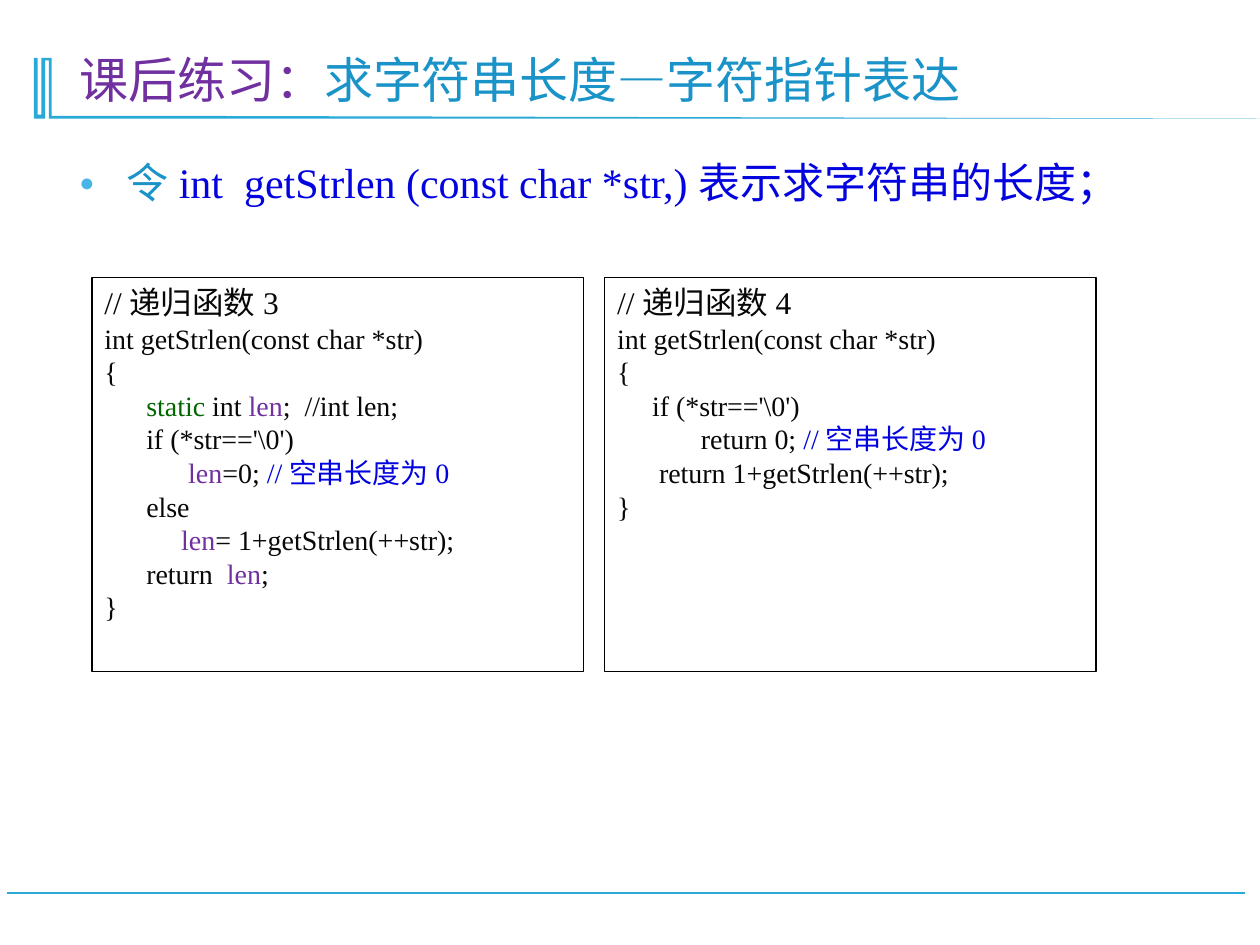
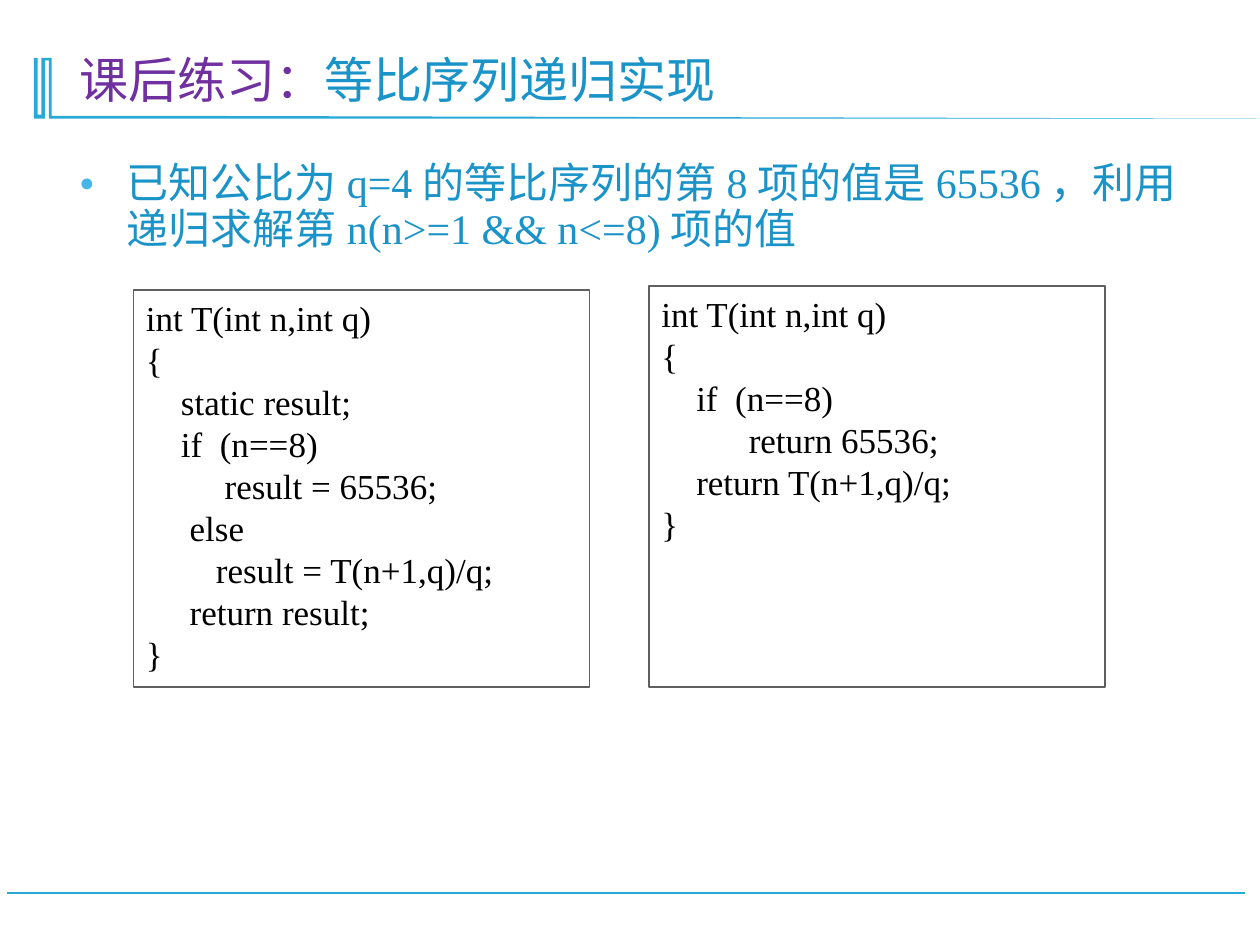
import collections

import lxml.etree
import pptx
import pptx.dml.color
import pptx.enum.shapes
import pptx.enum.text
import pptx.oxml.ns
import pptx.util

Pt = pptx.util.Pt
Box = collections.namedtuple("Box", "left top width height")

FONT = "Times New Roman"
COLORS = {
    "accent": "28A9D6",
    "heading": "1A93C8",
    "purple": "7030A0",
    "blue": "0303DF",
    "green": "006600",
    "bullet": "47B6E7",
    "code": "080808",
    "black": "000000",
    "gray": "5F5F5F",
    "white": "FFFFFF",
}
FRAME = Box(19.4, 33.1, 700.6, 34.6)
FOOTER = Box(4.3, 510.5, 707, 0)
TITLE = Box(38.2, 20.2, 637.2, 46)

RECURSION_3 = [
    "int getStrlen(const char *str)",
    "{",
    [("      ", "code"), ("static", "green"), (" int ", "code"), ("len", "purple"),
     (";  //int len;", "code")],
    "      if (*str=='\\0')",
    [("            ", "code"), ("len", "purple"), ("=0; ", "code"), ("//空串长度为0", "blue")],
    "      else",
    [("           ", "code"), ("len", "purple"), ("= 1+getStrlen(++str);", "code")],
    [("      return  ", "code"), ("len", "purple"), (";", "code")],
    "}",
]
RECURSION_4 = [
    "int getStrlen(const char *str)",
    "{",
    "     if (*str=='\\0')",
    [("            return 0; ", "code"), ("//空串长度为0", "blue")],
    "      return 1+getStrlen(++str);",
    "}",
]
STATIC_SEQUENCE = [
    "int T(int n,int q)",
    "{",
    "    static result;",
    "    if  (n==8)",
    "         result = 65536;",
    "     else",
    "        result = T(n+1,q)/q;",
    "     return result;",
    "}",
]
DIRECT_SEQUENCE = [
    "int T(int n,int q)",
    "{",
    "    if  (n==8)",
    "          return 65536;",
    "    return T(n+1,q)/q;",
    "}",
]


def rgb(name):
    """Return the named colour."""
    return pptx.dml.color.RGBColor.from_string(COLORS[name])


def points(box):
    """Return the four lengths of a box in points."""
    return [Pt(length) for length in box]


def write_text(paragraph, text, size=16, color="code"):
    """Write a string, or a list of (text, colour) pairs, into a paragraph."""
    pieces = [(text, color)] if isinstance(text, str) else text
    for piece, piece_color in pieces:
        run = paragraph.add_run()
        run.text = piece
        run.font.name = FONT
        run.font.size = Pt(size)
        run.font.color.rgb = rgb(piece_color)


def place_placeholder(shape, box, anchor):
    """Move a placeholder and return its formatted first paragraph."""
    shape.left, shape.top, shape.width, shape.height = points(box)
    frame = shape.text_frame
    frame.auto_size = pptx.enum.text.MSO_AUTO_SIZE.NONE
    frame.vertical_anchor = anchor
    paragraph = frame.paragraphs[0]
    paragraph.alignment = pptx.enum.text.PP_ALIGN.LEFT
    paragraph.line_spacing = 0.9
    paragraph.space_before = Pt(0)
    return paragraph


def add_title_frame(slide, box):
    """Draw the double bar and the tapering rule around the title."""
    bottom = box.height
    outline = [
        (10.1, 0), (10.1, 33.1), (81.4, 33.1), (box.width, bottom), (8.6, bottom),
        (8.6, 1.4), (6.5, 1.4), (6.5, bottom), (0, bottom), (0, 0),
        (2.2, 0), (2.2, 32.4), (4.3, 32.4), (4.3, 0),
    ]
    corners = [(Pt(box.left + x), Pt(box.top + y)) for x, y in outline]
    builder = slide.shapes.build_freeform(*corners[0])
    builder.add_line_segments(corners[1:], close=True)
    shape = builder.convert_to_shape()
    shape.shadow.inherit = False
    shape.fill.solid()
    shape.fill.fore_color.rgb = rgb("accent")
    shape.line.fill.background()


def add_footer_line(slide, box):
    """Draw the rule at the foot of the slide."""
    line = slide.shapes.add_connector(
        pptx.enum.shapes.MSO_CONNECTOR.STRAIGHT,
        Pt(box.left), Pt(box.top), Pt(box.left + box.width), Pt(box.top))
    line.line.color.rgb = rgb("accent")
    line.line.width = Pt(1.25)
    properties = line._element.spPr
    lxml.etree.SubElement(properties, pptx.oxml.ns.qn("a:effectLst"))


def add_bullet(paragraph, indent):
    """Give a paragraph a small round bullet with a hanging indent."""
    properties = paragraph._p.get_or_add_pPr()
    properties.set("marL", str(Pt(indent)))
    properties.set("indent", str(-Pt(indent)))
    qn = pptx.oxml.ns.qn
    color = lxml.etree.SubElement(properties, qn("a:buClr"))
    lxml.etree.SubElement(color, qn("a:srgbClr"), val=COLORS["bullet"])
    lxml.etree.SubElement(properties, qn("a:buSzPct"), val="60000")
    lxml.etree.SubElement(properties, qn("a:buChar"), char="●")


def add_code_box(slide, box, lines, size, color, line_color, line_width, fill=None, heading=None):
    """Draw a framed listing, with an optional larger heading line."""
    shape = slide.shapes.add_shape(pptx.enum.shapes.MSO_SHAPE.RECTANGLE, *points(box))
    shape.shadow.inherit = False
    if fill:
        shape.fill.solid()
        shape.fill.fore_color.rgb = rgb(fill)
    else:
        shape.fill.background()
    shape.line.color.rgb = rgb(line_color)
    shape.line.width = Pt(line_width)
    frame = shape.text_frame
    frame.word_wrap = True
    frame.vertical_anchor = pptx.enum.text.MSO_ANCHOR.TOP
    rows = [(line, size) for line in lines]
    if heading:
        rows.insert(0, (heading, 18))
    for index, (text, row_size) in enumerate(rows):
        paragraph = frame.add_paragraph() if index else frame.paragraphs[0]
        paragraph.alignment = pptx.enum.text.PP_ALIGN.LEFT
        write_text(paragraph, text, size=row_size, color=color)


def add_exercise_slide(presentation, topic, task, task_box):
    """Add a slide with the shared decoration, a title and one task."""
    slide = presentation.slides.add_slide(presentation.slide_layouts[1])
    add_footer_line(slide, FOOTER)
    add_title_frame(slide, FRAME)
    anchors = pptx.enum.text.MSO_ANCHOR
    title = place_placeholder(slide.shapes.title, TITLE, anchors.BOTTOM)
    write_text(title, [("课后练习：", "purple"), (topic, "heading")], size=28)
    body = place_placeholder(slide.placeholders[1], task_box, anchors.TOP)
    add_bullet(body, 27)
    write_text(body, task, size=24, color="heading")
    return slide


def main():
    """Build both exercise slides and save the presentation."""
    presentation = pptx.Presentation()
    presentation.slide_width, presentation.slide_height = Pt(720), Pt(540)

    slide = add_exercise_slide(
        presentation, "求字符串长度—字符指针表达",
        [("令", "heading"), ("int  getStrlen (const char *str,)表示求字符串的长度；", "blue")],
        Box(38.2, 89.3, 657.4, 46))
    listings = [("//递归函数3", RECURSION_3), ("//递归函数4", RECURSION_4)]
    for column, (heading, lines) in enumerate(listings):
        add_code_box(slide, Box(52.6 + column * 293, 158.4, 280.8, 225.4), lines, size=16,
                     color="code", line_color="black", line_width=0.75, heading=heading)

    slide = add_exercise_slide(
        presentation, "等比序列递归实现",
        "已知公比为q=4的等比序列的第8项的值是65536，利用递归求解第n(n>=1 && n<=8)项的值",
        Box(38.2, 89.3, 665.3, 67.7))
    boxes = [Box(76.3, 165.6, 260.6, 226.8), Box(370.8, 163.4, 260.6, 229)]
    for box, lines in zip(boxes, [STATIC_SEQUENCE, DIRECT_SEQUENCE]):
        add_code_box(slide, box, lines, size=20, color="black",
                     line_color="gray", line_width=1, fill="white")

    presentation.save("out.pptx")


if __name__ == "__main__":
    main()
